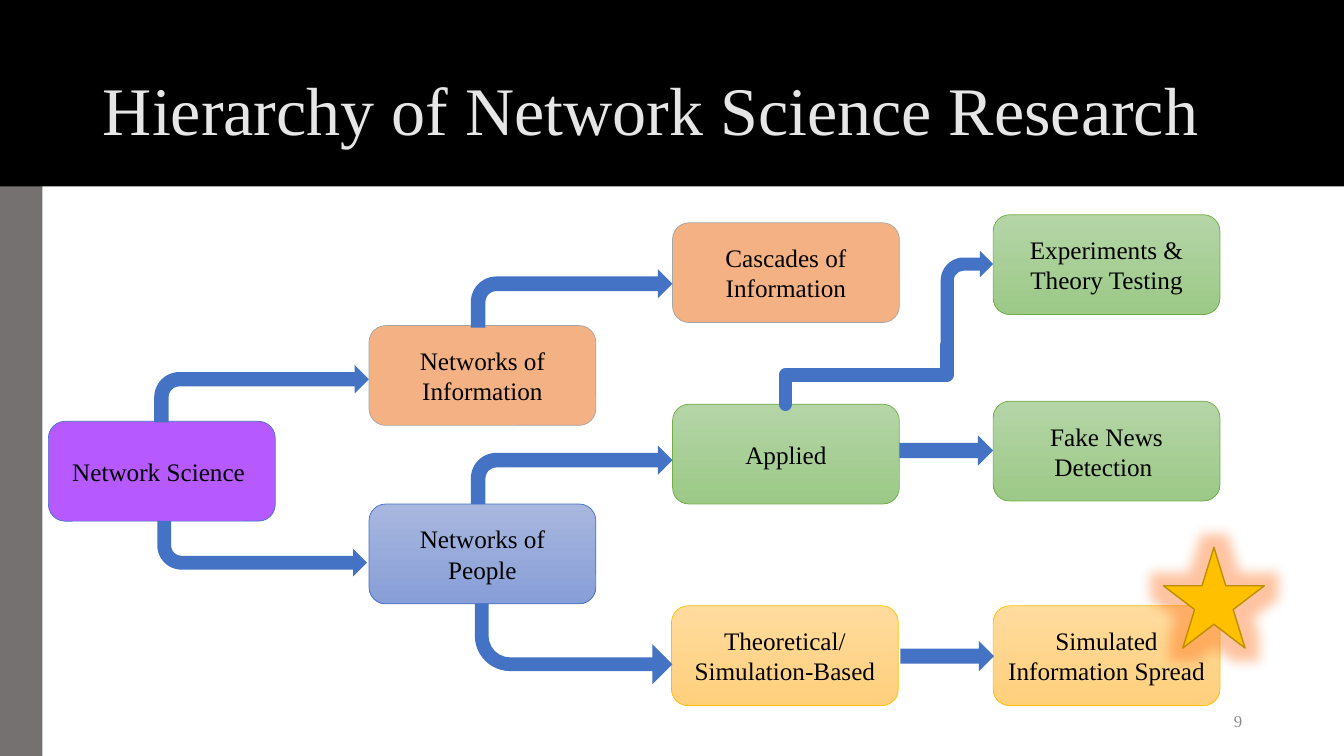
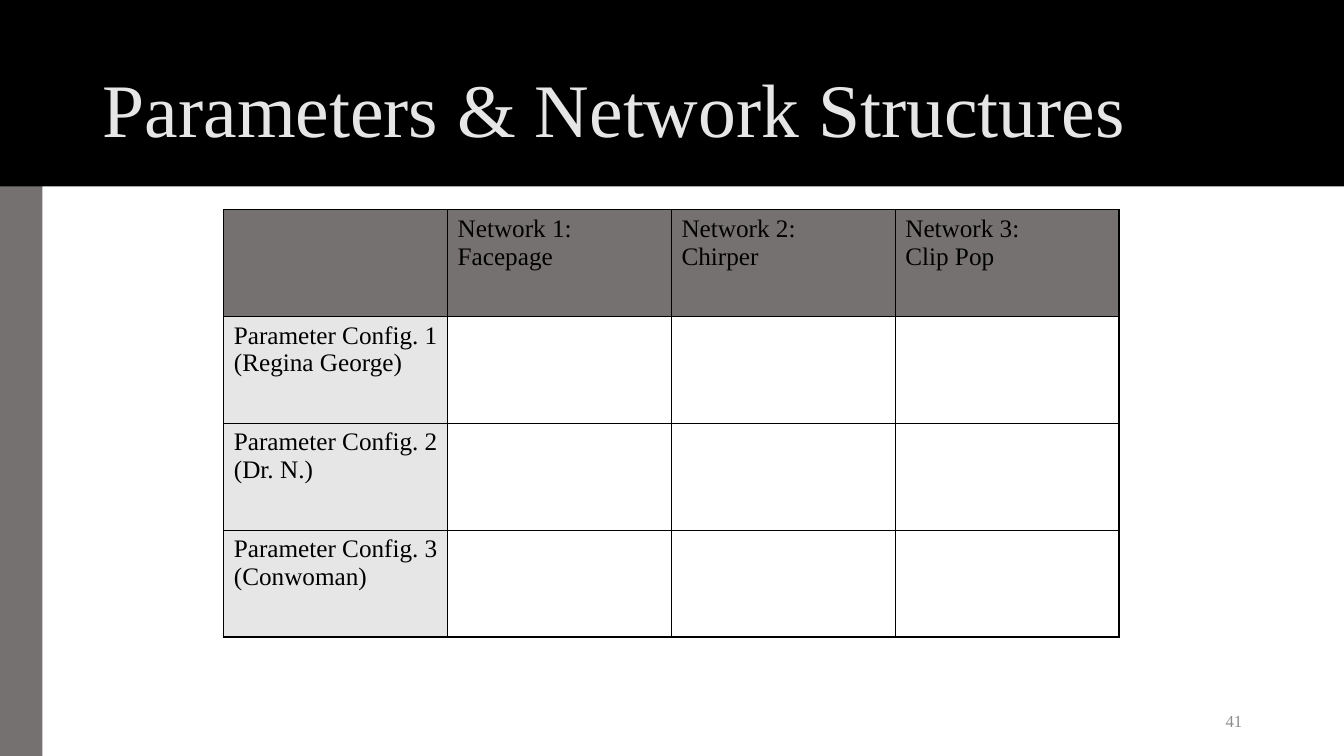
from dataclasses import dataclass

from lxml import etree
from pptx import Presentation
from pptx.dml.color import RGBColor
from pptx.enum.shapes import MSO_CONNECTOR, MSO_SHAPE
from pptx.enum.text import MSO_ANCHOR, MSO_AUTO_SIZE, PP_ALIGN
from pptx.oxml import parse_xml
from pptx.oxml.ns import nsdecls, qn
from pptx.util import Emu, Pt

PX = 9144  # 100 px to the inch


@dataclass(frozen=True)
class Theme:
    font: str = "Times New Roman"
    body_size: float = 18
    number_size: float = 12
    black: str = "000000"
    gray: str = "767171"
    light: str = "E7E6E6"
    number: str = "8C8C8C"
    arrow: str = "4472C4"
    purple: str = "B65AFF"
    orange: str = "F4B183"
    orange_line: str = "A5A5A5"
    blue: tuple = ("A8B7DF", "889ED7")
    green: tuple = ("B5D5A7", "9CC987")
    green_line: str = "70AD47"
    yellow: tuple = ("FFDB9E", "FFD07C")
    gold: str = "FFC000"
    star_line: str = "BD8E00"
    glow: str = "FF6B14"


theme = Theme()


def write(text_frame, text, size, color, align=PP_ALIGN.LEFT):
    text_frame.text = text
    for paragraph in text_frame.paragraphs:
        paragraph.alignment = align
        for run in paragraph.runs:
            run.font.name = theme.font
            run.font.size = Pt(size)
            run.font.color.rgb = RGBColor.from_string(color)


def add_shape(slide, kind, bounds, fill, line=None, line_width=0.5):
    """Add a preset shape; a pair of fill colours gives a downward gradient."""
    shape = slide.shapes.add_shape(kind, *(Emu(value * PX) for value in bounds))
    shape.shadow.inherit = False
    if isinstance(fill, tuple):
        shape.fill.gradient()
        shape.fill.gradient_angle = 270
        for stop, color in zip(shape.fill.gradient_stops, fill):
            stop.color.rgb = RGBColor.from_string(color)
    else:
        shape.fill.solid()
        shape.fill.fore_color.rgb = RGBColor.from_string(fill)
    if line:
        shape.line.color.rgb = RGBColor.from_string(line)
        shape.line.width = Pt(line_width)
    else:
        shape.line.fill.background()
    return shape


presentation = Presentation()
presentation.slide_width, presentation.slide_height = Emu(1333 * PX), Emu(750 * PX)
title_only = presentation.slide_layouts[5]

# Bands, title and number on every slide
slides = []
for title_text, title_size, number in (
    ("Hierarchy of Network Science Research", 48.6, "9"),
    ("Parameters & Network Structures", 54, "41"),
):
    slide = presentation.slides.add_slide(title_only)
    slides.append(slide)
    title = slide.shapes.title
    for bounds, color in (
        ((0, 0, 42, 750), theme.gray),
        ((0, 0, 1333, 185), theme.black),
    ):
        band = add_shape(slide, MSO_SHAPE.RECTANGLE, bounds, color)
        title._element.addprevious(band._element)

    title.left, title.top = Emu(92 * PX), Emu(40 * PX)
    title.width, title.height = Emu(1150 * PX), Emu(145 * PX)
    write(title.text_frame, title_text, title_size, theme.light)
    title.text_frame.auto_size = MSO_AUTO_SIZE.NONE
    title.text_frame.vertical_anchor = MSO_ANCHOR.MIDDLE
    title.text_frame.paragraphs[0].line_spacing = 0.9

    number_box = slide.shapes.add_textbox(
        Emu(942 * PX), Emu(695 * PX), Emu(300 * PX), Emu(40 * PX))
    number_box.text_frame.word_wrap = True
    number_box.text_frame.vertical_anchor = MSO_ANCHOR.MIDDLE
    write(number_box.text_frame, number, theme.number_size, theme.number, PP_ALIGN.RIGHT)

hierarchy_slide, parameters_slide = slides

# Hierarchy: boxes
BOX_WIDTH, BOX_HEIGHT = 225, 99
for text, left, top, fill, line in (
    ("Network Science ", 48, 418, theme.purple, theme.arrow),
    ("Networks of Information", 366, 323, theme.orange, theme.orange_line),
    ("Networks of People", 366, 500, theme.blue, theme.arrow),
    ("Cascades of Information", 667, 221, theme.orange, theme.orange_line),
    ("Applied", 667, 401, theme.green, theme.green_line),
    ("Theoretical/ Simulation-Based", 666, 601, theme.yellow, theme.gold),
    ("Experiments & Theory Testing", 985, 213, theme.green, theme.green_line),
    ("Fake News Detection ", 985, 398, theme.green, theme.green_line),
    ("Simulated Information Spread", 985, 601, theme.yellow, theme.gold),
):
    box = add_shape(hierarchy_slide, MSO_SHAPE.ROUNDED_RECTANGLE,
                    (left, top, BOX_WIDTH, BOX_HEIGHT), fill, line)
    box.text_frame.word_wrap = True
    box.text_frame.vertical_anchor = MSO_ANCHOR.MIDDLE
    write(box.text_frame, text, theme.body_size, theme.black, PP_ALIGN.CENTER)

# Hierarchy: arrows
for bounds, downward, thickness in (
    ((153, 362, 213, 57), False, 0.25),
    ((156, 517, 208, 55), True, 0.25),
    ((467, 267, 200, 58), False, 0.25),
    ((467, 442, 200, 58), False, 0.25),
    ((471, 599, 196, 80), True, 0.17),
    ((933, 249, 52, 94), False, 0.25),
):
    arrow = add_shape(hierarchy_slide, MSO_SHAPE.BENT_ARROW, bounds, theme.arrow)
    arrow.adjustments[0] = thickness
    if downward:
        arrow._element.spPr.find(qn("a:xfrm")).set("flipV", "1")

for left, top in ((892, 432), (893, 636)):
    add_shape(hierarchy_slide, MSO_SHAPE.RIGHT_ARROW, (left, top, 93, 30), theme.arrow)

# The elbow is turned so that it leaves "Applied" upward
elbow = hierarchy_slide.shapes.add_connector(
    MSO_CONNECTOR.ELBOW, *(Emu(value * PX) for value in (830, 292, 888, 452)))
elbow.line.color.rgb = RGBColor.from_string(theme.arrow)
elbow.line.width = Pt(9.75)
elbow_properties = elbow._element.spPr
for name, value in (("rot", "5400000"), ("flipH", "1"), ("flipV", "1")):
    elbow_properties.find(qn("a:xfrm")).set(name, value)
elbow_line = elbow_properties.find(qn("a:ln"))
elbow_line.set("cap", "rnd")
etree.SubElement(elbow_line, qn("a:round"))
etree.SubElement(elbow_properties, qn("a:effectLst"))

star = add_shape(hierarchy_slide, MSO_SHAPE.STAR_5_POINT, (1154, 543, 100, 100),
                 theme.gold, theme.star_line, 1)
star._element.spPr.find(qn("a:effectLst")).append(parse_xml(
    f'<a:glow {nsdecls("a")} rad="228600"><a:srgbClr val="{theme.glow}">'
    '<a:alpha val="40000"/></a:srgbClr></a:glow>'))

# Parameters: table
COLUMN_WIDTH, ROW_HEIGHT = 222, 106
rows = (
    ("", "Network 1:\nFacepage", "Network 2:\nChirper", "Network 3:\nClip Pop"),
    ("Parameter Config. 1\n(Regina George)", "", "", ""),
    ("Parameter Config. 2\n(Dr. N.)", "", "", ""),
    ("Parameter Config. 3\n(Conwoman)", "", "", ""),
)
table = parameters_slide.shapes.add_table(
    len(rows), len(rows[0]), Emu(222 * PX), Emu(208 * PX),
    Emu(len(rows[0]) * COLUMN_WIDTH * PX), Emu(len(rows) * ROW_HEIGHT * PX)).table
table.first_row = table.horz_banding = False

for row_index, row in enumerate(rows):
    for column_index, text in enumerate(row):
        cell = table.cell(row_index, column_index)
        cell.margin_right = Emu(5 * PX)
        write(cell.text_frame, text, theme.body_size, theme.black)
        if row_index and column_index:
            cell.fill.background()
        else:
            cell.fill.solid()
            cell.fill.fore_color.rgb = RGBColor.from_string(
                theme.light if row_index else theme.gray)
        for position, side in enumerate(("lnL", "lnR", "lnT", "lnB")):
            cell._tc.tcPr.insert(position, parse_xml(
                f'<a:{side} {nsdecls("a")} w="12700"><a:solidFill>'
                f'<a:srgbClr val="{theme.black}"/></a:solidFill></a:{side}>'))

presentation.save("out.pptx")
